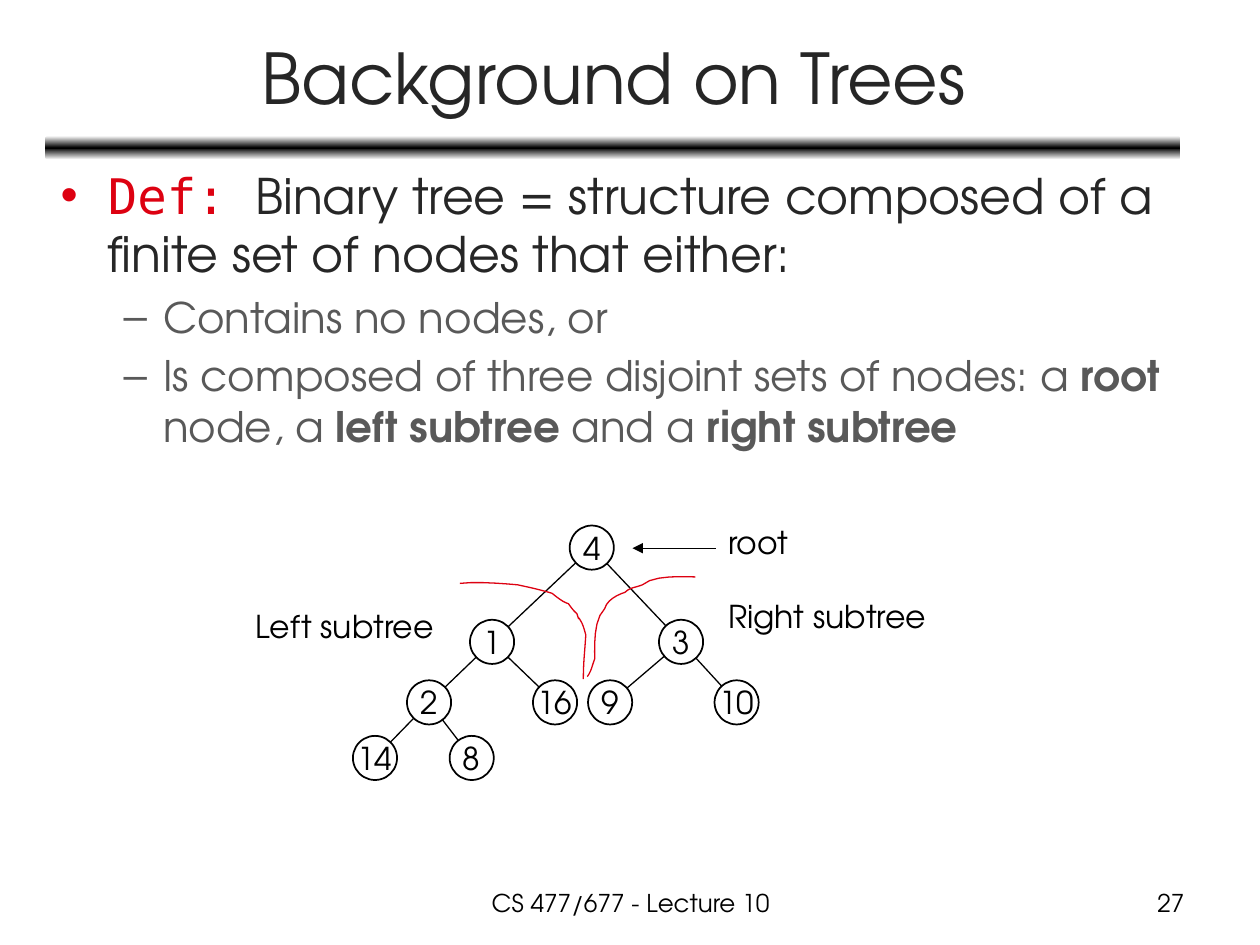
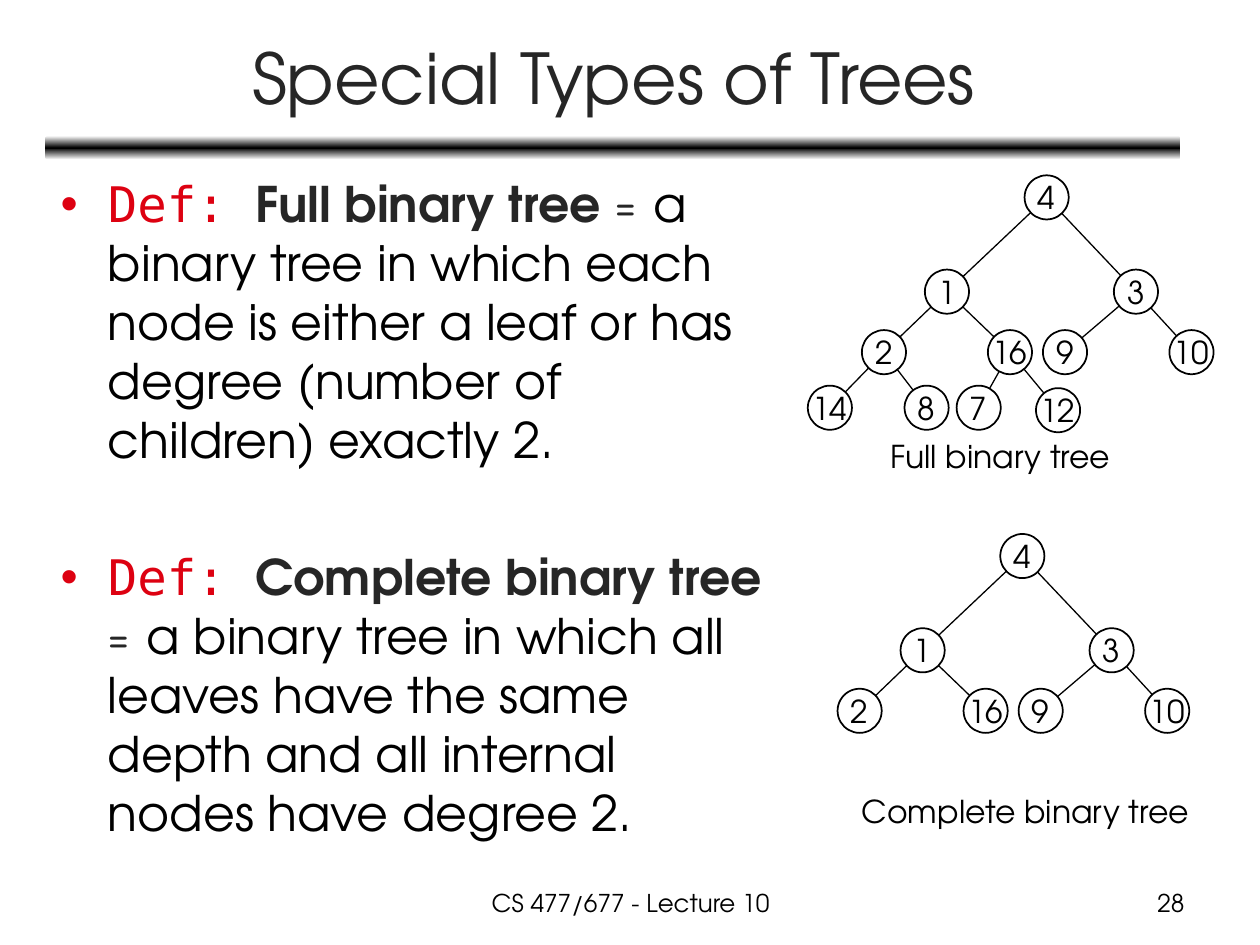
"""Build two lecture slides on binary trees."""
from copy import deepcopy

from pptx import Presentation
from pptx.dml.color import RGBColor
from pptx.enum.shapes import MSO_CONNECTOR, MSO_SHAPE
from pptx.enum.text import MSO_ANCHOR, MSO_AUTO_SIZE, PP_ALIGN
from pptx.oxml.ns import qn
from pptx.oxml.xmlchemy import OxmlElement
from pptx.util import Cm, Pt

SANS, MONO, HAND = "TeX Gyre Adventor", "DejaVu Sans Mono", "Comic Neue"
BLACK, WHITE, RED, DARK, GREY = "000000", "FFFFFF", "DD0111", "262626", "595959"
NODE_SIZE = 0.89

# Each node: parent, then offset from the root in centimetres.
COMPLETE_TREE = {
    "4": (None, 0, 0),
    "1": ("4", -2.01, 1.9),
    "3": ("4", 1.8, 1.9),
    "2": ("1", -3.28, 3.12),
    "16": ("1", -0.74, 3.12),
    "9": ("3", 0.37, 3.12),
    "10": ("3", 2.92, 3.12),
}
ROOTED_TREE = COMPLETE_TREE | {"14": ("2", -4.37, 4.24), "8": ("2", -2.42, 4.24)}
FULL_TREE = ROOTED_TREE | {"7": ("16", -1.37, 4.24), "12": ("16", 0.23, 4.29)}

LEFT_BOUNDARY = (9.27, 11.76), [
    ((9.65, 11.71), (10.44, 11.79), (10.44, 11.79)),
    ((10.67, 11.84), (10.9, 11.89), (11.13, 11.96)),
    ((11.23, 12.04), (11.35, 12.14), (11.46, 12.17)),
    ((11.51, 12.24), (11.56, 12.31), (11.63, 12.37)),
    ((11.71, 12.6), (11.61, 12.34), (11.71, 12.52)),
    ((11.76, 12.6), (11.79, 12.73), (11.81, 12.8)),
    ((11.79, 13.13), (11.76, 13.36), (11.76, 13.69)),
]
RIGHT_BOUNDARY = (11.84, 13.64), [
    ((11.92, 13.54), (11.94, 13.41), (11.99, 13.28)),
    ((11.99, 13.03), (11.96, 12.5), (12.19, 12.27)),
    ((12.24, 12.09), (12.45, 11.99), (12.6, 11.94)),
    ((12.7, 11.84), (12.83, 11.84), (12.95, 11.79)),
    ((13.18, 11.58), (13.82, 11.63), (14.02, 11.63)),
]


def rgb(color):
    return RGBColor.from_string(color)


def style(font, name=None, size=None, color=None, bold=None):
    if name:
        font.name = name
    if size:
        font.size = Pt(size)
    if color:
        font.color.rgb = rgb(color)
    if bold is not None:
        font.bold = bold


def place(shape, left, top, width, height):
    shape.left, shape.top = Cm(left), Cm(top)
    shape.width, shape.height = Cm(width), Cm(height)


def add_runs(paragraph, runs):
    for text, look in runs:
        run = paragraph.add_run()
        run.text = text
        style(run.font, **look)


def add_text(shapes, text, box, size=18, align=PP_ALIGN.LEFT, wrap=False):
    label = shapes.add_textbox(*map(Cm, box))
    frame = label.text_frame
    frame.word_wrap = wrap
    frame.auto_size = MSO_AUTO_SIZE.NONE if wrap else MSO_AUTO_SIZE.SHAPE_TO_FIT_TEXT
    paragraph = frame.paragraphs[0]
    paragraph.text = text
    paragraph.alignment = align
    style(paragraph.font, SANS, size, BLACK)


def add_band(slide):
    band = slide.shapes.add_shape(
        MSO_SHAPE.ROUNDED_RECTANGLE, Cm(0.91), Cm(2.74), Cm(22.89), Cm(0.48))
    band.shadow.inherit = False
    band.line.fill.background()
    band.fill.gradient()
    band.fill.gradient_angle = 90
    stop_list = band._element.spPr.find(qn("a:gradFill")).find(qn("a:gsLst"))
    stop_list.append(deepcopy(stop_list[-1]))
    for stop, position, color in zip(
            band.fill.gradient_stops, (0, 0.5, 1), (WHITE, BLACK, WHITE)):
        stop.position = position
        stop.color.rgb = rgb(color)


def add_slide(deck, title, number, body_box):
    slide = deck.slides.add_slide(deck.slide_layouts[1])
    add_band(slide)
    heading, body = slide.placeholders
    place(heading, 0.94, 0.28, 22.86, 2.51)
    heading.text_frame.text = title
    heading.text_frame.vertical_anchor = MSO_ANCHOR.MIDDLE
    paragraph = heading.text_frame.paragraphs[0]
    paragraph.alignment = PP_ALIGN.CENTER
    style(paragraph.font, SANS, 40, DARK)
    place(body, *body_box)
    body.text_frame.word_wrap = True
    body.text_frame.auto_size = MSO_AUTO_SIZE.NONE
    add_text(slide.shapes, "CS 477/677 - Lecture 10", (8.69, 17.78, 8.05, 0.89),
             14, PP_ALIGN.CENTER, True)
    add_text(slide.shapes, number, (18.21, 17.78, 5.92, 0.89),
             14, PP_ALIGN.RIGHT, True)
    return slide, body.text_frame


def add_definition(paragraph, runs, space_before=0):
    paragraph.space_before = Pt(space_before)
    paragraph.font.size = Pt(28)
    add_runs(paragraph, [("Def: ", dict(name=MONO, color=RED)), *runs])


def add_case(frame, runs):
    paragraph = frame.add_paragraph()
    paragraph.level = 1
    style(paragraph.font, SANS, 24, GREY)
    add_runs(paragraph, runs)


def add_line(shapes, start, end):
    line = shapes.add_connector(MSO_CONNECTOR.STRAIGHT, *map(Cm, (*start, *end)))
    line.line.color.rgb = rgb(BLACK)
    line.line.width = Pt(0.75)
    line._element.spPr.append(OxmlElement("a:effectLst"))
    return line


def add_arrow(shapes, start, end):
    arrow = add_line(shapes, start, end)
    tip = OxmlElement("a:tailEnd")
    tip.set("type", "triangle")
    arrow.line._get_or_add_ln().append(tip)


def add_node(shapes, value, x, y):
    node = shapes.add_shape(MSO_SHAPE.OVAL, Cm(x - NODE_SIZE / 2), Cm(y - NODE_SIZE / 2),
                            Cm(NODE_SIZE), Cm(NODE_SIZE))
    node.shadow.inherit = False
    node.fill.solid()
    node.fill.fore_color.rgb = rgb(WHITE)
    node.line.color.rgb = rgb(BLACK)
    node.line.width = Pt(1)
    frame = node.text_frame
    frame.margin_left = frame.margin_right = frame.margin_top = frame.margin_bottom = 0
    frame.word_wrap = False
    frame.vertical_anchor = MSO_ANCHOR.MIDDLE
    paragraph = frame.paragraphs[0]
    paragraph.text = value
    paragraph.alignment = PP_ALIGN.CENTER
    style(paragraph.font, SANS, 18, BLACK)


def add_tree(shapes, tree, root_x, root_y):
    centers = {value: (root_x + dx, root_y + dy) for value, (_, dx, dy) in tree.items()}
    for value, (parent, _, _) in tree.items():
        if parent:
            add_line(shapes, centers[parent], centers[value])
    for value, center in centers.items():
        add_node(shapes, value, *center)


def bezier(start, first, second, end, steps=6):
    for step in range(1, steps + 1):
        t = step / steps
        weights = (1 - t) ** 3, 3 * t * (1 - t) ** 2, 3 * t * t * (1 - t), t ** 3
        yield tuple(Cm(sum(w * v for w, v in zip(weights, axis)))
                    for axis in zip(start, first, second, end))


def add_boundary(shapes, start, curves):
    builder = shapes.build_freeform(Cm(start[0]), Cm(start[1]))
    for curve in curves:
        builder.add_line_segments(bezier(start, *curve), close=False)
        start = curve[-1]
    boundary = builder.convert_to_shape()
    boundary.shadow.inherit = False
    boundary.fill.background()
    boundary.line.color.rgb = rgb(RED)
    boundary.line.width = Pt(0.75)


def add_background_slide(deck):
    slide, body = add_slide(deck, "Background on Trees", "27", (0.97, 3.2, 22.86, 6.25))
    add_definition(body.paragraphs[0], [
        ("Binary tree = structure composed of a finite set of nodes that either:",
         dict(name=SANS, color=DARK))])
    plain, strong = dict(bold=False), dict(bold=True)
    add_case(body, [("Contains no nodes, or", {})])
    add_case(body, [
        ("Is composed of three disjoint sets of nodes: a ", plain), ("root", strong),
        (" node, a ", plain), ("left subtree ", strong),
        ("and a ", plain), ("right subtree", strong)])
    shapes = slide.shapes
    add_tree(shapes, ROOTED_TREE, 11.93, 11.04)
    add_arrow(shapes, (14.43, 11.05), (12.75, 11.05))
    for boundary in (LEFT_BOUNDARY, RIGHT_BOUNDARY):
        add_boundary(shapes, *boundary)
    add_text(shapes, "root", (14.43, 10.41, 1.75, 1.02))
    add_text(shapes, "Right subtree", (14.43, 11.91, 4.57, 1.02))
    add_text(shapes, "Left subtree", (4.9, 12.12, 4.14, 1.02))


def add_types_slide(deck):
    slide, body = add_slide(deck, "Special Types of Trees", "28", (0.97, 3.38, 14.73, 14.3))
    definitions = [
        ("Full binary tree ", "a binary tree in which each node is either a leaf or has "
         "degree (number of children) exactly 2.", body.paragraphs[0], 0),
        ("Complete binary tree ", "a binary tree in which all leaves have the same depth "
         "and all internal nodes have degree 2.", body.add_paragraph(), 45),
    ]
    for term, meaning, paragraph, space_before in definitions:
        add_definition(paragraph, [
            (term, dict(name=SANS, color=DARK, bold=True)),
            ("= ", dict(name=HAND, color=DARK)),
            (meaning, dict(name=SANS, color=BLACK))], space_before)
    for tree, root, caption, box in (
            (FULL_TREE, (21.1, 3.98), "Full binary tree", (17.7, 8.69, 5, 1.02)),
            (COMPLETE_TREE, (20.61, 11.21), "Complete binary tree",
             (17.12, 15.85, 7.21, 1.02))):
        figure = slide.shapes.add_group_shape().shapes
        add_tree(figure, tree, *root)
        add_text(figure, caption, box)


def main():
    deck = Presentation()
    deck.slide_width, deck.slide_height = Cm(25.4), Cm(19.05)
    add_background_slide(deck)
    add_types_slide(deck)
    deck.save("out.pptx")


if __name__ == "__main__":
    main()
